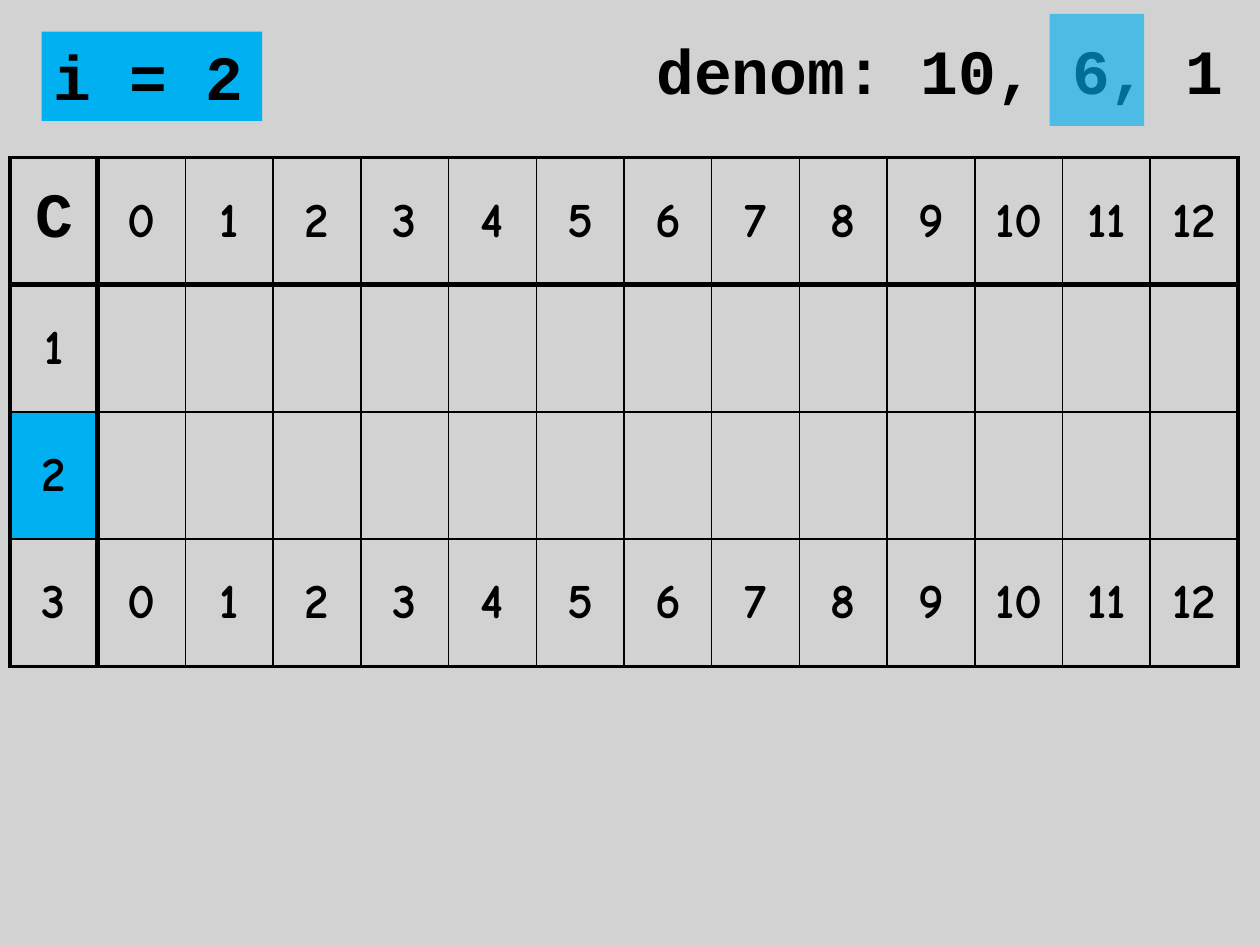
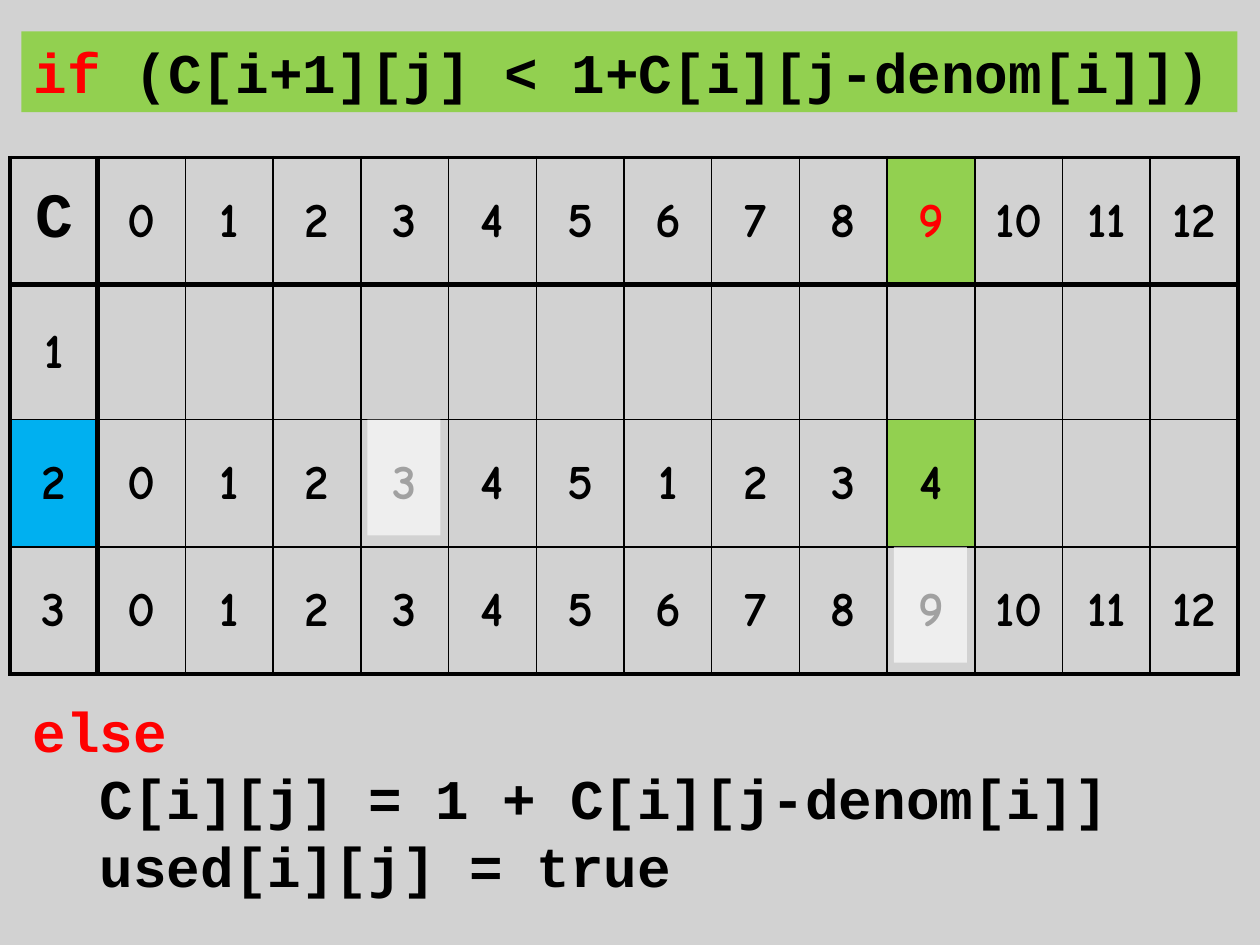
from lxml import etree
from pptx import Presentation
from pptx.dml.color import RGBColor
from pptx.enum.shapes import MSO_SHAPE
from pptx.enum.text import MSO_ANCHOR, PP_ALIGN
from pptx.oxml.ns import qn
from pptx.util import Inches, Pt

RECT = MSO_SHAPE.RECTANGLE
TOP, MIDDLE = MSO_ANCHOR.TOP, MSO_ANCHOR.MIDDLE
CENTER = PP_ALIGN.CENTER

BLACK, WHITE, GRAY = "000000", "FFFFFF", "C0C0C0"
BLUE, GREEN, RED = "00B0F0", "92D050", "FF0000"
CODE_FONT, DIGIT_FONT = "Courier New", "Comic Neue"

SLIDE_W, SLIDE_H = 10, 7.5
TABLE_LEFT, TABLE_TOP, TABLE_W = 0.08, 1.25, 9.75
AMOUNTS = [str(n) for n in range(13)]
COL_W = TABLE_W / (len(AMOUNTS) + 1)
THIN, OUTER, HEADER = 1, 2.25, 3


def rgb(color):
    return RGBColor.from_string(color)


def add_run(p, text, size, color=BLACK, font=CODE_FONT):
    r = p.add_run()
    r.text = text
    r.font.name = font
    r.font.size = Pt(size)
    r.font.bold = True
    r.font.color.rgb = rgb(color)


def add_rect(slide, box, color, opacity=100):
    sp = slide.shapes.add_shape(RECT, *map(Inches, box))
    sp.shadow.inherit = False
    sp.fill.solid()
    sp.fill.fore_color.rgb = rgb(color)
    sp.line.fill.background()
    if opacity < 100:
        clr = sp.fill._xPr.find(qn("a:solidFill"))[0]
        etree.SubElement(clr, qn("a:alpha"), val=str(opacity * 1000))
    return sp


def write_code(sp, lines, size):
    """Fill a shape with code; each line is a list of (text, color) runs."""
    tf = sp.text_frame
    tf.word_wrap = True
    tf.vertical_anchor = TOP
    for i, line in enumerate(lines):
        p = tf.add_paragraph() if i else tf.paragraphs[0]
        p.alignment = PP_ALIGN.LEFT
        for text, color in line:
            add_run(p, text, size, color)


def add_code_box(slide, box, lines, size, fill=None):
    if fill:
        sp = add_rect(slide, box, fill)
    else:
        sp = slide.shapes.add_textbox(*map(Inches, box))
    write_code(sp, lines, size)


def set_borders(cell, widths):
    """Draw black borders; widths are points for left, right, top, bottom."""
    tcPr = cell._tc.get_or_add_tcPr()
    for i, (tag, width) in enumerate(zip(("lnL", "lnR", "lnT", "lnB"), widths)):
        ln = etree.Element(qn(f"a:{tag}"), w=str(Pt(width)))
        fill = etree.SubElement(ln, qn("a:solidFill"))
        etree.SubElement(fill, qn("a:srgbClr"), val=BLACK)
        tcPr.insert(i, ln)


def border_widths(row, col, last_row, last_col):
    left = {0: OUTER, 1: HEADER}.get(col, THIN)
    right = {0: HEADER, last_col: OUTER}.get(col, THIN)
    top = {0: OUTER, 1: HEADER}.get(row, THIN)
    bottom = {0: HEADER, last_row: OUTER}.get(row, THIN)
    return left, right, top, bottom


def add_cost_table(slide, row_heights, coin_2_costs, fills, text_colors):
    """Table C; fills and text_colors map (row, col) to a color."""
    rows = [["C"] + AMOUNTS, ["1"], ["2"] + coin_2_costs, ["3"] + AMOUNTS]
    n_rows, n_cols = len(rows), len(rows[0])
    box = TABLE_LEFT, TABLE_TOP, TABLE_W, sum(row_heights)
    table = slide.shapes.add_table(n_rows, n_cols, *map(Inches, box)).table
    table.first_row = table.horz_banding = False
    for column in table.columns:
        column.width = Inches(COL_W)
    for r, height in enumerate(row_heights):
        table.rows[r].height = Inches(height)
        for c in range(n_cols):
            cell = table.cell(r, c)
            cell.vertical_anchor = MIDDLE
            if (r, c) in fills:
                cell.fill.solid()
                cell.fill.fore_color.rgb = rgb(fills[r, c])
            else:
                cell.fill.background()
            set_borders(cell, border_widths(r, c, n_rows - 1, n_cols - 1))
            if c < len(rows[r]):
                p = cell.text_frame.paragraphs[0]
                p.alignment = CENTER
                size, font = (36, CODE_FONT) if r == c == 0 else (28, DIGIT_FONT)
                add_run(p, rows[r][c], size, text_colors.get((r, c), BLACK), font)


def add_cell_veil(slide, row_heights, row, col):
    """Whiten a table cell whose value is being compared."""
    left = TABLE_LEFT + col * COL_W + 0.05
    top = TABLE_TOP + sum(row_heights[:row])
    add_rect(slide, (left, top, 0.58, 0.92), WHITE, 63)


def add_denominations(slide, left, top):
    line = [("denom: 10, 6, 1", BLACK)]
    add_code_box(slide, (left, top, 4.75, 0.7), [line], 36)
    add_rect(slide, (left + 3.22, top - 0.09, 0.75, 0.89), BLUE, 63)


def new_slide(prs):
    slide = prs.slides.add_slide(prs.slide_layouts[6])
    add_rect(slide, (0, 0, SLIDE_W, SLIDE_H), GRAY, 70)
    return slide


def build_coin_slide(prs):
    slide = new_slide(prs)
    add_cost_table(slide, [1.01] * 4, [], {(2, 0): BLUE}, {})
    add_code_box(slide, (0.33, 0.25, 1.75, 0.71), [[("i = 2", BLACK)]], 36, BLUE)
    add_denominations(slide, 5.11, 0.2)


def build_comparison_slide(prs):
    slide = new_slide(prs)
    heights = [1.01, 1.07, 1.01, 1.01]
    fills = {(2, 0): BLUE, (0, 10): GREEN, (2, 10): GREEN}
    add_cost_table(slide, heights, list("0123451234"), fills, {(0, 10): RED})
    for row, col in ((3, 10), (2, 4)):
        add_cell_veil(slide, heights, row, col)
    condition = [("if ", RED), ("(C[i+1][j] < 1+C[i][j-denom[i]])", BLACK)]
    add_code_box(slide, (0.17, 0.25, 9.65, 0.64), [condition], 32, GREEN)
    else_branch = [
        [("else", RED)],
        [("  C[i][j] = 1 + C[i][j-denom[i]]", BLACK)],
        [("  used[i][j] = true", BLACK)],
    ]
    add_code_box(slide, (0.16, 5.48, 8.84, 1.72), else_branch, 32)


def main():
    prs = Presentation()
    prs.slide_width, prs.slide_height = Inches(SLIDE_W), Inches(SLIDE_H)
    build_coin_slide(prs)
    build_comparison_slide(prs)
    prs.save("out.pptx")


if __name__ == "__main__":
    main()
